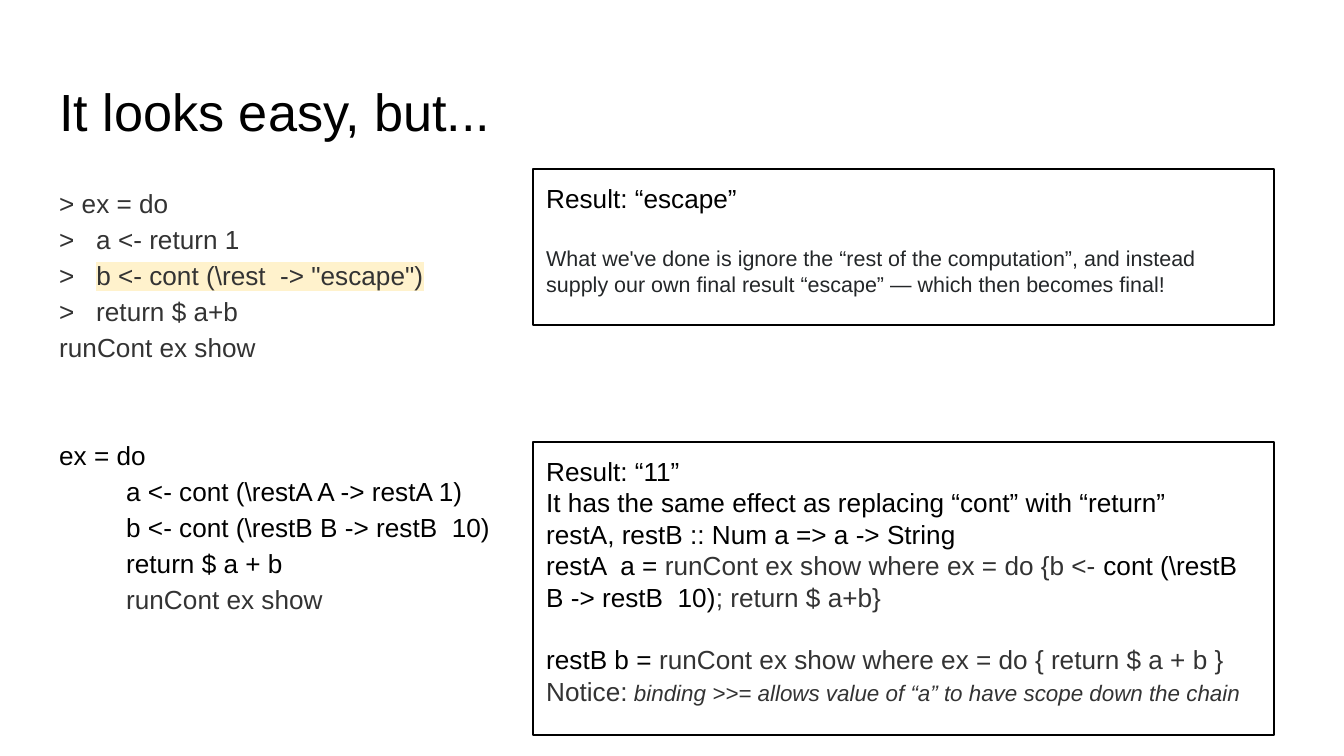
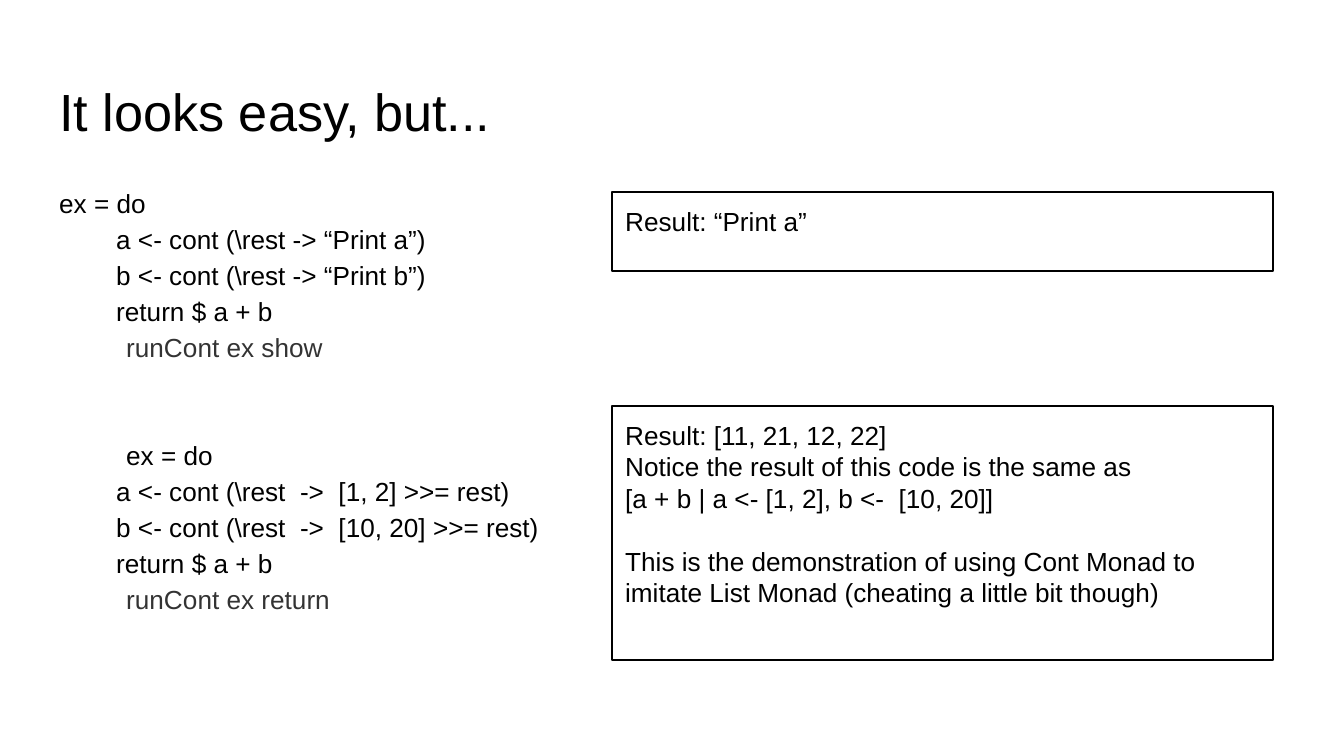
import pptx
import pptx.util
import pptx.dml.color
import pptx.enum.shapes
import pptx.enum.text
import lxml.etree

COLORS = {"black": "000000", "gray": "333333", "note": "242729", "mark": "FFF2CC"}
FONT = "Arial"
PX = 914400 / 134.4
INSET = 13.44
TITLE = "It looks easy, but..."
TITLE_BOX = (46, 66, 1252, 85)
CODE_BOX = (46, 169, 1252, 503)
CODE_GAP, NOTE_GAP = 38.6, 16.8

STYLES = {
    "plain": {},
    "gray": {"color": "gray"},
    "marked": {"color": "gray", "mark": "mark"},
    "note": {"color": "note", "size": 11.5},
    "aside": {"color": "gray", "size": 12, "italic": True},
}
INDENTS = {"none": (0, 0), "block": (67, 0), "hang": (67, -10), "first": (0, 67)}


def line(*runs, style="plain", indent="none", before=0):
    runs = [(run, style) if isinstance(run, str) else run for run in runs]
    return {"runs": runs, "indent": indent, "before": before}


def block(*texts, indent):
    return [line(text, indent=indent) for text in texts]


SLIDES = [
    {
        "code": [
            line("> ex = do", style="gray"),
            line(">   a <- return 1", style="gray"),
            line(">   ", ('b <- cont (\\rest  -> "escape")', "marked"), style="gray"),
            line(">   return $ a+b", style="gray"),
            line("runCont ex show", style="gray"),
            line("ex = do", before=CODE_GAP),
            *block("a <- cont (\\restA A -> restA 1)",
                   "b <- cont (\\restB B -> restB  10)",
                   "return $ a + b", indent="block"),
            line("runCont ex show", style="gray", indent="first"),
        ],
        "results": [
            ((533, 169, 741, 156), [
                line("Result: “escape”"),
                line("What we've done is ignore the “rest of the computation”, "
                     "and instead supply our own final result “escape” — "
                     "which then becomes final!", style="note", before=NOTE_GAP),
            ]),
            ((533, 442, 741, 293), [
                line("Result: “11”"),
                line("It has the same effect as replacing “cont” with “return”"),
                line("restA, restB :: Num a => a -> String"),
                line("restA  a = ",
                     ("runCont ex show where ex = do {b <- ", "gray"),
                     "cont (\\restB B -> restB  10)",
                     ("; return $ a+b}", "gray")),
                line("restB b = ",
                     ("runCont ex show where ex = do { return $ a + b }", "gray"),
                     before=NOTE_GAP),
                line("Notice:",
                     (" binding >>= allows value of “a” to have scope down the chain",
                      "aside"), style="gray"),
            ]),
        ],
    },
    {
        "code": [
            line("ex = do"),
            *block("a <- cont (\\rest -> “Print a”)",
                   "b <- cont (\\rest -> “Print b”)",
                   "return $ a + b", indent="hang"),
            line("runCont ex show", style="gray", indent="first"),
            line("ex = do", indent="first", before=CODE_GAP),
            *block("a <- cont (\\rest  ->  [1, 2] >>= rest)",
                   "b <- cont (\\rest  ->  [10, 20] >>= rest)",
                   "return $ a + b", indent="hang"),
            line("runCont ex return", style="gray", indent="first"),
        ],
        "results": [
            ((612, 192, 661, 79), [line("Result: “Print a”")]),
            ((612, 406, 661, 254), [
                line("Result: [11, 21, 12, 22]"),
                line("Notice the result of this code is the same as"),
                line("[a + b | a <- [1, 2], b <-  [10, 20]]"),
                line("This is the demonstration of using Cont Monad to imitate "
                     "List Monad (cheating a little bit though)", before=NOTE_GAP),
            ]),
        ],
    },
]


def emu(px):
    return pptx.util.Emu(round(px * PX))


def rgb(name):
    return pptx.dml.color.RGBColor.from_string(COLORS[name])


def add_run(p, text, size=14, color="black", italic=None, mark=None):
    r = p.add_run()
    r.text = text
    r.font.size = pptx.util.Pt(size)
    r.font.italic = italic
    r.font.color.rgb = rgb(color)
    if mark:
        ns = pptx.oxml.ns.qn
        hl = lxml.etree.SubElement(r.font._element, ns("a:highlight"))
        lxml.etree.SubElement(hl, ns("a:srgbClr"), val=COLORS[mark])
    r.font.name = FONT


def write(sp, lines, spacing=None, **fmt):
    tf = sp.text_frame
    tf.word_wrap = True
    tf.vertical_anchor = pptx.enum.text.MSO_ANCHOR.TOP
    tf.margin_left = tf.margin_right = tf.margin_top = tf.margin_bottom = emu(INSET)
    for i, item in enumerate(lines):
        p = tf.add_paragraph() if i else tf.paragraphs[0]
        p.alignment = pptx.enum.text.PP_ALIGN.LEFT
        p.line_spacing = spacing
        p.space_before = pptx.util.Pt(item["before"])
        left, first = INDENTS[item["indent"]]
        pPr = p._p.get_or_add_pPr()
        pPr.set("marL", str(emu(left)))
        pPr.set("indent", str(emu(first)))
        for text, style in item["runs"]:
            add_run(p, text, **{**fmt, **STYLES[style]})


def add_text(slide, box, lines, **fmt):
    write(slide.shapes.add_textbox(*map(emu, box)), lines, **fmt)


def add_result(slide, box, lines):
    rect = pptx.enum.shapes.MSO_SHAPE.RECTANGLE
    sp = slide.shapes.add_shape(rect, *map(emu, box))
    sp.shadow.inherit = False
    sp.fill.background()
    sp.line.color.rgb = rgb("black")
    sp.line.width = pptx.util.Pt(0.75)
    write(sp, lines)


prs = pptx.Presentation()
prs.slide_width, prs.slide_height = emu(1344), emu(756)
for content in SLIDES:
    slide = prs.slides.add_slide(prs.slide_layouts[6])
    add_text(slide, TITLE_BOX, [line(TITLE)], size=28)
    add_text(slide, CODE_BOX, content["code"], spacing=1.15)
    for box, lines in content["results"]:
        add_result(slide, box, lines)
prs.save("out.pptx")
